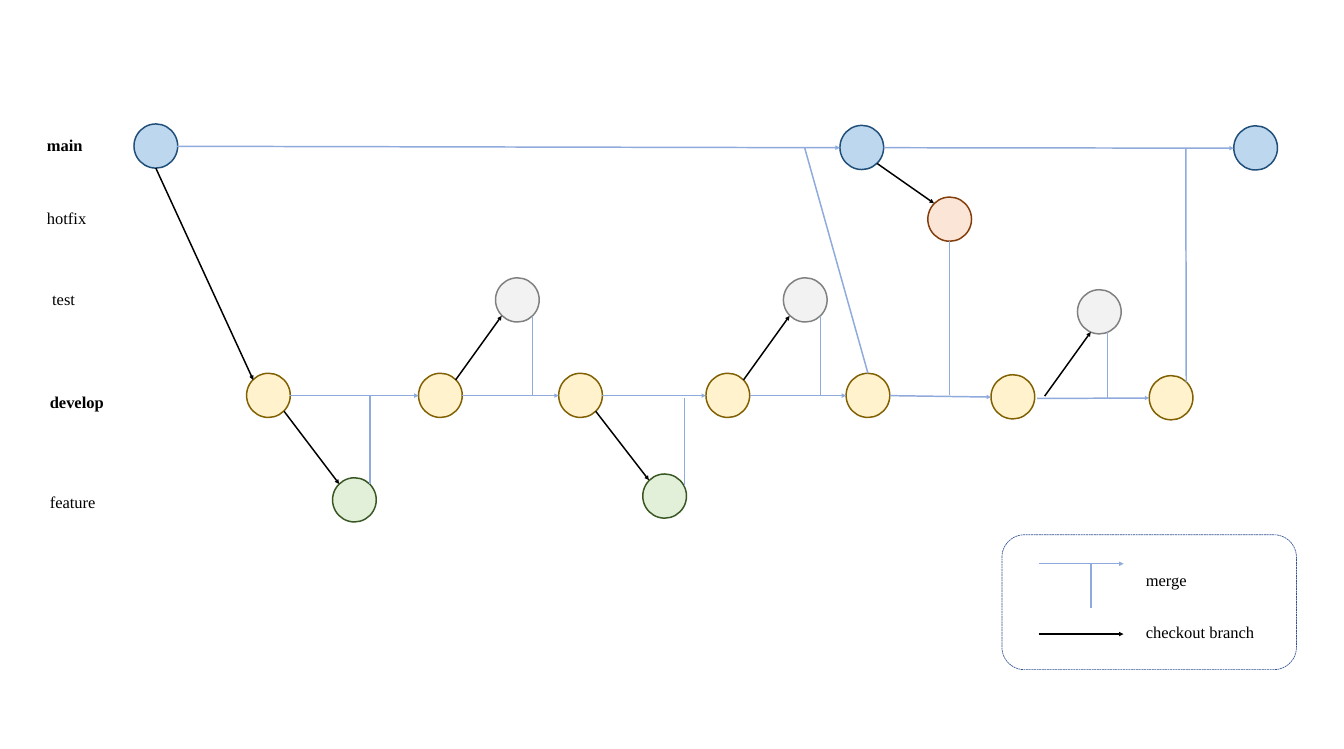
"""Build a slide that shows a git branching model with merges and checkouts."""
from pptx import Presentation
from pptx.dml.color import RGBColor
from pptx.enum.dml import MSO_LINE
from pptx.enum.shapes import MSO_CONNECTOR, MSO_SHAPE
from pptx.enum.text import MSO_AUTO_SIZE
from pptx.oxml.ns import qn
from pptx.util import Inches, Pt
from lxml.etree import SubElement

COLORS = {
    "main": "BDD7EE", "main_line": "1F4E79",
    "hotfix": "FBE5D6", "hotfix_line": "843C0B",
    "test": "F2F2F2", "test_line": "808080",
    "develop": "FFF2CC", "develop_line": "806000",
    "feature": "E2F0D9", "feature_line": "385723",
    "merge": "8FAADC", "checkout": "000000",
    "text": "000000", "legend": "325491",
}
RGB = {name: RGBColor.from_string(value) for name, value in COLORS.items()}
COMMIT_WIDTH, COMMIT_HEIGHT = 0.92, 0.93

deck = Presentation()
deck.slide_width, deck.slide_height = Inches(28.29), Inches(15.77)
page = deck.slides.add_slide(deck.slide_layouts[6])


def add_line(kind, start, end, arrow):
    line = page.shapes.add_connector(MSO_CONNECTOR.STRAIGHT, *map(Inches, start + end))
    line.line.color.rgb = RGB[kind]
    line.line.width = Pt(2.25)
    if arrow:
        SubElement(line.line._get_or_add_ln(), qn("a:tailEnd"), type="triangle")
    SubElement(line._element.spPr, qn("a:effectLst"))


def add_label(text, left, top, width, bold=False):
    box = page.shapes.add_textbox(*map(Inches, (left, top, width, 0.52)))
    box.text_frame.word_wrap = True
    box.text_frame.auto_size = MSO_AUTO_SIZE.SHAPE_TO_FIT_TEXT
    span = box.text_frame.paragraphs[0].add_run()
    span.text = text
    for name, value in {"name": "Times New Roman", "size": Pt(25), "bold": bold}.items():
        setattr(span.font, name, value)
    span.font.color.rgb = RGB["text"]


commits = {
    "main": [(2.82, 2.61), (17.68, 2.64), (25.97, 2.65)],
    "hotfix": [(19.53, 4.15)],
    "test": [(10.43, 5.85), (16.49, 5.85), (22.68, 6.1)],
    "develop": [(5.19, 7.86), (8.81, 7.86), (11.76, 7.86), (14.86, 7.86),
                (17.81, 7.86), (20.86, 7.89), (24.19, 7.91)],
    "feature": [(7, 10.06), (13.53, 9.98)],
}
for branch, places in commits.items():
    for left, top in places:
        commit = page.shapes.add_shape(
            MSO_SHAPE.OVAL, *map(Inches, (left, top, COMMIT_WIDTH, COMMIT_HEIGHT)))
        commit.shadow.inherit = False
        commit.fill.solid()
        commit.fill.fore_color.rgb = RGB[branch]
        commit.line.color.rgb = RGB[f"{branch}_line"]
        commit.line.width = Pt(2.25)

checkout_arrows = [
    ((3.28, 3.54), (5.33, 8)), ((18.46, 3.44), (19.66, 4.28)),
    ((5.98, 8.66), (7.14, 10.19)), ((12.54, 8.66), (13.66, 10.11)),
    ((9.59, 8), (10.56, 6.65)), ((15.65, 8), (16.62, 6.65)),
    ((21.99, 8.34), (22.96, 6.99)), ((21.86, 13.35), (23.65, 13.35)),
]
merge_arrows = [
    ((3.73, 3.08), (17.68, 3.11)), ((18.6, 3.11), (25.97, 3.12)),
    ((6.11, 8.33), (8.81, 8.33)), ((9.73, 8.33), (11.76, 8.33)),
    ((12.67, 8.33), (14.86, 8.33)), ((15.79, 8.33), (17.81, 8.33)),
    ((18.73, 8.33), (20.86, 8.36)), ((21.83, 8.39), (24.19, 8.38)),
    ((21.86, 11.87), (23.65, 11.87)),
]
merge_stems = [
    ((7.79, 10.19), (7.79, 8.33)), ((14.41, 10.24), (14.41, 8.38)),
    ((11.21, 6.65), (11.21, 8.33)), ((17.27, 6.65), (17.27, 8.33)),
    ((23.31, 6.99), (23.31, 8.39)), ((19.99, 5.08), (19.99, 8.31)),
    ((16.94, 3.12), (18.27, 7.86)), ((24.96, 3.12), (24.97, 8.05)),
    ((22.97, 12.81), (22.97, 11.87)),
]
for kind, lines, arrow in [("checkout", checkout_arrows, True),
                           ("merge", merge_arrows, True),
                           ("merge", merge_stems, False)]:
    for start, end in lines:
        add_line(kind, start, end, arrow)

for label in [("main", 0.89, 2.79, 1.32, True), ("hotfix", 0.89, 4.34, 1.32),
              ("test", 1, 6.03, 1.27), ("develop", 0.95, 8.21, 1.51, True),
              ("feature", 0.95, 10.3, 1.32), ("merge", 24.02, 11.96, 1.32),
              ("checkout branch", 24.02, 13.04, 2.72)]:
    add_label(*label)

legend = page.shapes.add_shape(
    MSO_SHAPE.ROUNDED_RECTANGLE, *map(Inches, (21.09, 11.26, 6.2, 2.84)))
legend.shadow.inherit = False
legend.fill.background()
legend.line.color.rgb = RGB["legend"]
legend.line.width = Pt(1)
legend.line.dash_style = MSO_LINE.SQUARE_DOT

deck.save("out.pptx")
